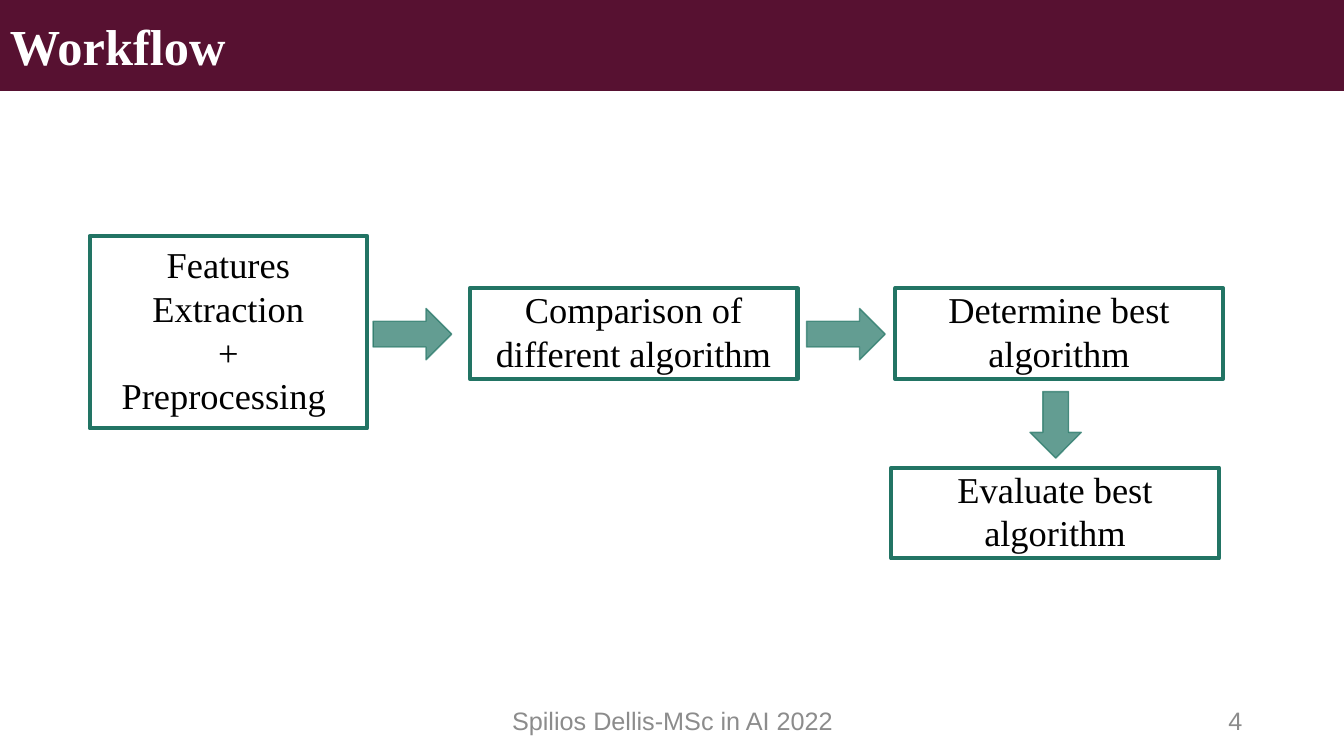
from lxml.etree import SubElement
from pptx import Presentation
from pptx.dml.color import RGBColor
from pptx.enum.shapes import MSO_SHAPE
from pptx.enum.text import MSO_ANCHOR, PP_ALIGN
from pptx.oxml.ns import qn
from pptx.util import Inches, Pt

COLORS = {"banner": "571131", "green": "227464", "white": "FFFFFF",
          "black": "000000", "gray": "8C8C8C"}
SERIF, SANS = "Times New Roman", "Arial"


def color(name):
    return RGBColor.from_string(COLORS[name])


def write(shape, lines, size, font, ink, align=PP_ALIGN.LEFT, bold=False):
    frame = shape.text_frame
    frame.word_wrap = True
    frame.vertical_anchor = MSO_ANCHOR.MIDDLE
    for index, line in enumerate(lines):
        para = frame.paragraphs[0] if index == 0 else frame.add_paragraph()
        para.alignment = align
        span = para.add_run()
        span.text = line
        span.font.size = Pt(size)
        span.font.name = font
        span.font.bold = bold
        span.font.color.rgb = color(ink)


def add_outlined(page, kind, box, line_color, line_width, fill=None):
    shape = page.shapes.add_shape(kind, *map(Inches, box))
    shape.shadow.inherit = False
    if fill:
        shape.fill.solid()
        shape.fill.fore_color.rgb = color(fill)
    else:
        shape.fill.background()
    shape.line.color.rgb = color(line_color)
    shape.line.width = Pt(line_width)
    return shape


def add_banner(page, box, title):
    banner = add_outlined(page, MSO_SHAPE.RECTANGLE, box, "banner", 1, "banner")
    write(banner, [title], 36, SERIF, "white", bold=True)


def add_step(page, box, lines):
    step = add_outlined(page, MSO_SHAPE.RECTANGLE, box, "green", 3)
    step.text_frame.margin_top = 0
    step.text_frame.margin_bottom = Inches(0.05)
    write(step, lines, 26, SERIF, "black", PP_ALIGN.CENTER)


def add_arrow(page, box, rotation=0):
    arrow = add_outlined(page, MSO_SHAPE.RIGHT_ARROW, box, "green", 1, "green")
    arrow.rotation = rotation
    # Fill and line are both 70 % opaque
    for tint in arrow._element.spPr.iter(qn("a:srgbClr")):
        SubElement(tint, qn("a:alpha"), val="70000")


def add_workflow(page, box):
    left, top, width, height = box
    step_width, step_height = 3.25, 0.9
    middle = top + 0.97
    row_top = middle - step_height / 2

    # Steps
    add_step(page, (left, top, 2.75, 1.91),
             ["Features Extraction", "+", "Preprocessing "])
    for offset_x, step_top, label in [
        (3.77, row_top, "Comparison of different algorithm"),
        (7.99, row_top, "Determine best algorithm"),
        (7.95, top + height - step_height, "Evaluate best algorithm"),
    ]:
        add_step(page, (left + offset_x, step_top, step_width, step_height), [label])

    # Arrows between the steps
    for offset_x in (2.81, 7.11):
        add_arrow(page, (left + offset_x, top + 0.72, 0.78, 0.51))
    add_arrow(page, (left + 9.25, top + 1.62, 0.66, 0.51), rotation=90)


def add_footer(page, box):
    left, top, width, height = box
    for offset_x, part_width, text, align in [
        (0, 4.5, "Spilios Dellis-MSc in AI 2022", PP_ALIGN.CENTER),
        (width - 3, 3, "4", PP_ALIGN.RIGHT),
    ]:
        part = page.shapes.add_textbox(
            *map(Inches, (left + offset_x, top, part_width, height)))
        write(part, [text], 18, SANS, "gray", align)


def main():
    deck = Presentation()
    deck.slide_width, deck.slide_height = Inches(13.33), Inches(7.5)
    page = deck.slides.add_slide(deck.slide_layouts[6])
    page.background.fill.solid()
    page.background.fill.fore_color.rgb = color("white")
    add_banner(page, (0, 0, 13.33, 0.9), "Workflow")
    add_workflow(page, (0.89, 2.34, 11.24, 3.2))
    add_footer(page, (4.42, 6.95, 8, 0.4))
    deck.save("out.pptx")


if __name__ == "__main__":
    main()
